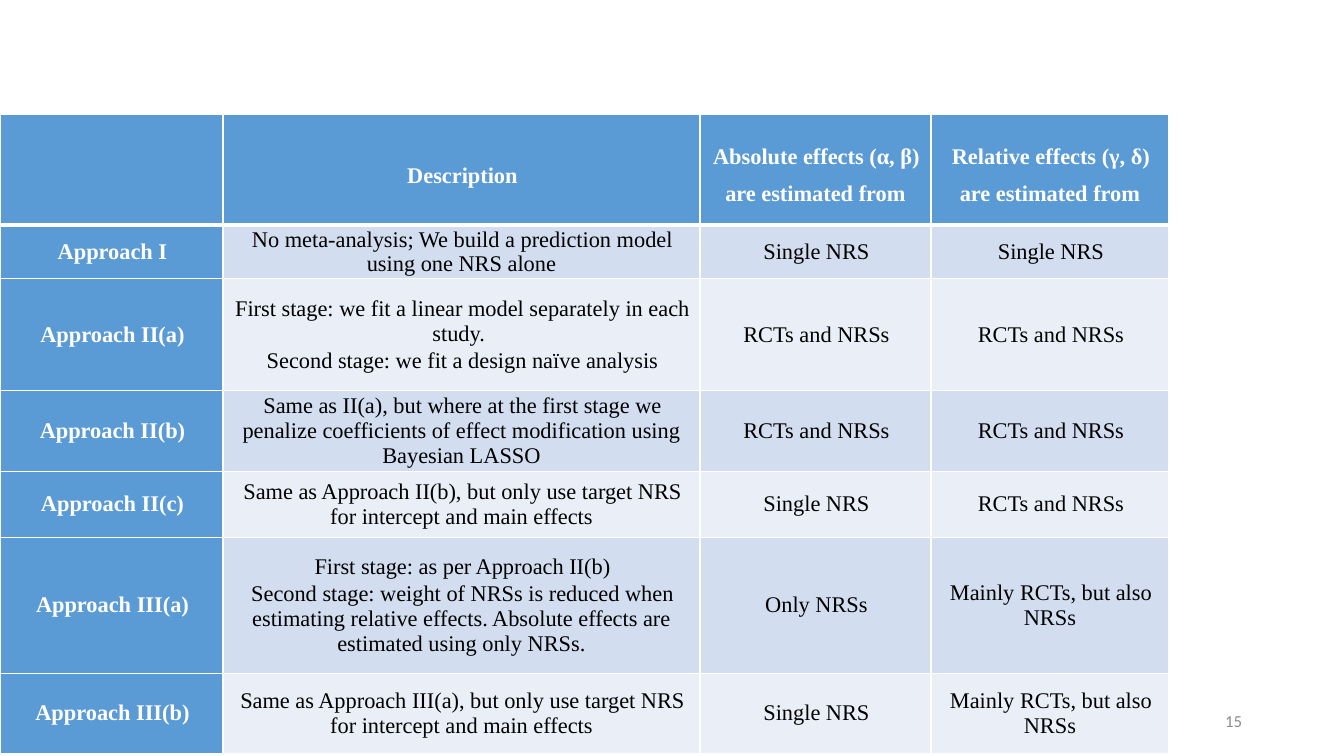
import pptx
import pptx.dml.color
import pptx.enum.text
import pptx.oxml
import pptx.oxml.ns
import pptx.util

PX = 914400 / 100.8
WHITE, BLACK, GRAY = "FFFFFF", "000000", "8C8C8C"
BLUE, BANDS = "5B9BD5", ("D2DEEF", "EAEFF7")
CENTER = pptx.enum.text.PP_ALIGN.CENTER
RIGHT = pptx.enum.text.PP_ALIGN.RIGHT
MIDDLE = pptx.enum.text.MSO_ANCHOR.MIDDLE

COLUMN_WIDTHS = [223, 477, 231, 238]
ROW_HEIGHTS = [111, 51, 112, 66, 66, 136, 80]
APPROACHES = [
    ["", "Description", "Absolute effects (α, β) are estimated from",
     "Relative effects (γ, δ) are estimated from"],
    ["Approach I",
     "No meta-analysis; We build a prediction model using one NRS alone",
     "Single NRS", "Single NRS"],
    ["Approach II(a)",
     "First stage: we fit a linear model separately in each study. \n"
     "Second stage: we fit a design naïve analysis",
     "RCTs and NRSs", "RCTs and NRSs"],
    ["Approach II(b)",
     "Same as II(a), but where at the first stage we penalize coefficients "
     "of effect modification using Bayesian LASSO",
     "RCTs and NRSs", "RCTs and NRSs"],
    ["Approach II(c)",
     "Same as Approach II(b), but only use target NRS for intercept and main effects",
     "Single NRS", "RCTs and NRSs"],
    ["Approach III(a)",
     "First stage: as per Approach II(b)\n"
     "Second stage: weight of NRSs is reduced when estimating relative effects. "
     "Absolute effects are estimated using only NRSs.",
     "Only NRSs", "Mainly RCTs, but also NRSs"],
    ["Approach III(b)",
     "Same as Approach III(a), but only use target NRS for intercept and main effects",
     "Single NRS", "Mainly RCTs, but also NRSs"],
]


def px(n):
    """Turn picture pixels into EMU."""
    return pptx.util.Emu(round(n * PX))


def rgb(value):
    """Turn a hex string into a colour."""
    return pptx.dml.color.RGBColor.from_string(value)


class SlideBuilder:
    """Hold the text style and the current slide."""

    def __init__(self, slide, font, size):
        """Keep the slide and the table text style."""
        self.slide, self.font, self.size = slide, font, size

    def format_runs(self, p, color, bold=False, font=None, size=None):
        """Style every run of a paragraph."""
        for r in p.runs:
            r.font.name = font or self.font
            r.font.size = pptx.util.Pt(size or self.size)
            r.font.bold = bold
            r.font.color.rgb = rgb(color)

    def text(self, box, text, color, font, size, align):
        """Add a one-paragraph text box."""
        tf = self.slide.shapes.add_textbox(*map(px, box)).text_frame
        tf.word_wrap = True
        tf.vertical_anchor = MIDDLE
        p = tf.paragraphs[0]
        p.text = text
        p.alignment = align
        self.format_runs(p, color, font=font, size=size)

    def borders(self, cell, color, bottom):
        """Draw 1 pt cell borders, with the given width at the bottom."""
        tc_pr = cell._tc.get_or_add_tcPr()
        for i, (side, width) in enumerate(zip("LRTB", (1, 1, 1, bottom))):
            tc_pr.insert(i, pptx.oxml.parse_xml(
                f'<a:ln{side} {pptx.oxml.ns.nsdecls("a")} w="{pptx.util.Pt(width)}">'
                f'<a:solidFill><a:srgbClr val="{color}"/></a:solidFill></a:ln{side}>'))

    def cell(self, cell, text, header, label, fill):
        """Fill and format one table cell."""
        cell.fill.solid()
        cell.fill.fore_color.rgb = rgb(fill)
        self.borders(cell, WHITE, 3 if header else 1)
        cell.margin_left = cell.margin_right = px(6)
        cell.margin_top = cell.margin_bottom = 0
        cell.vertical_anchor = MIDDLE
        cell.text_frame.text = text
        for p in cell.text_frame.paragraphs:
            p.alignment = CENTER
            p.space_before = pptx.util.Pt(6 if header else 1.8)
            if header:
                p.line_spacing = 1.5
            p._p.get_or_add_pPr().set("indent", str(px(2)))
            self.format_runs(p, WHITE if label else BLACK, bold=label)

    def table(self, left, top, widths, heights, rows):
        """Add a banded table with a header row and a label column."""
        box = map(px, (left, top, sum(widths), sum(heights)))
        table = self.slide.shapes.add_table(len(rows), len(widths), *box).table
        for column, width in zip(table.columns, widths):
            column.width = px(width)
        for i, (height, texts) in enumerate(zip(heights, rows)):
            table.rows[i].height = px(height)
            for j, text in enumerate(texts):
                label = i == 0 or j == 0
                fill = BLUE if label else BANDS[(i - 1) % 2]
                self.cell(table.cell(i, j), text, i == 0, label, fill)


prs = pptx.Presentation()
prs.slide_width, prs.slide_height = px(1344), px(756)
s = SlideBuilder(prs.slides.add_slide(prs.slide_layouts[6]), "Times New Roman", 16)
s.text((950, 701, 302, 40), "15", GRAY, "Calibri", 12, RIGHT)
s.table(0, 114, COLUMN_WIDTHS, ROW_HEIGHTS, APPROACHES)
prs.save("out.pptx")
